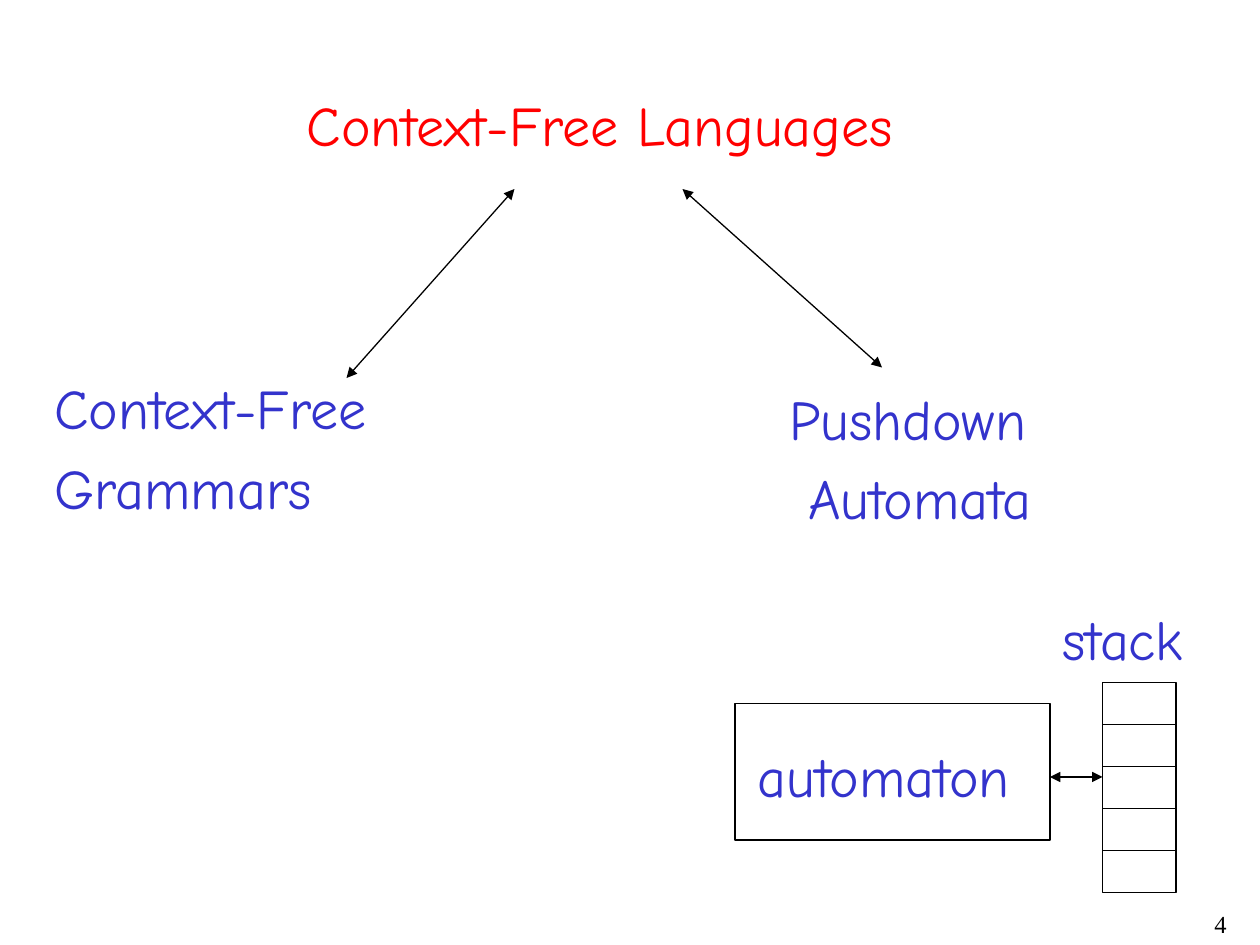
import pptx
import pptx.util
import pptx.dml.color
import pptx.enum.shapes
import pptx.enum.text
import pptx.oxml
import pptx.oxml.ns

deck = pptx.Presentation()
deck.slide_width = pptx.util.Inches(10)
deck.slide_height = pptx.util.Inches(7.5)
slide = deck.slides.add_slide(deck.slide_layouts[5])
shapes = slide.shapes

unit = deck.slide_width // 120
black, blue, red = "000000", "3333CC", "FF0000"


def write(text, left, top, width, height, color=blue, size=32, font="Comic Neue",
          align="LEFT", before=7, holder=None):
    box = holder or shapes.add_textbox(0, 0, 0, 0)
    box.left, box.top, box.width, box.height = (
        round(value * unit) for value in (left, top, width, height))
    frame = box.text_frame
    frame.text = text
    frame.word_wrap = False
    frame.auto_size = pptx.enum.text.MSO_AUTO_SIZE.SHAPE_TO_FIT_TEXT
    frame.vertical_anchor = pptx.enum.text.MSO_ANCHOR.TOP
    for paragraph in frame.paragraphs:
        paragraph.alignment = pptx.enum.text.PP_ALIGN[align]
        paragraph.space_before = pptx.util.Pt(before)
        paragraph.font.size = pptx.util.Pt(size)
        paragraph.font.name = font
        paragraph.font.color.rgb = pptx.dml.color.RGBColor.from_string(color)


def rule(x1, y1, x2, y2, arrows=False):
    line = shapes.add_connector(pptx.enum.shapes.MSO_CONNECTOR.STRAIGHT,
                                x1 * unit, y1 * unit, x2 * unit, y2 * unit)
    line.line.color.rgb = pptx.dml.color.RGBColor.from_string(black)
    line.line.width = pptx.util.Pt(0.75)
    if arrows:
        for end in ("a:headEnd", "a:tailEnd"):
            arrow = pptx.oxml.ns.qn(end)
            line.line._get_or_add_ln().makeelement(arrow)
            tip = pptx.oxml.parse_xml(
                f'<{end} xmlns:a="http://schemas.openxmlformats.org/drawingml/2006/main" type="triangle"/>')
            line.line._get_or_add_ln().append(tip)
    line._element.spPr.append(pptx.oxml.parse_xml(
        '<a:effectLst xmlns:a="http://schemas.openxmlformats.org/drawingml/2006/main"/>'))


write("Context-Free Languages", 28, 8, 62.9, 7.6, color=red, holder=shapes.title)
write("Context-Free\nGrammars", 4, 35, 36.2, 15.2)
write("Pushdown\n Automata", 74, 36, 28.4, 15.5)
write("4", 93, 86, 25, 4, color=black, size=14, font="Times New Roman",
      align="RIGHT", before=0)

rule(49, 18, 33, 36, arrows=True)
rule(65, 18, 84, 35, arrows=True)

stack_left, stack_top, stack_width, cell_height, cells = 105, 65, 7, 4, 5
automaton_frame = (70, 67, 30, 13)
stack_frame = (stack_left, stack_top, stack_width, cell_height * cells)
for frame in (automaton_frame, stack_frame):
    outline = shapes.add_shape(pptx.enum.shapes.MSO_SHAPE.RECTANGLE,
                               *(value * unit for value in frame))
    outline.shadow.inherit = False
    outline.fill.background()
    outline.line.color.rgb = pptx.dml.color.RGBColor.from_string(black)
    outline.line.width = pptx.util.Pt(0.75)

for cell in range(1, cells):
    divider = stack_top + cell * cell_height
    rule(stack_left, divider, stack_left + stack_width, divider)
rule(100, 74, stack_left, 74, arrows=True)

write("stack", 100, 57, 15.8, 7.6)
write("automaton", 71, 70, 28.2, 7.6)

deck.save("out.pptx")
